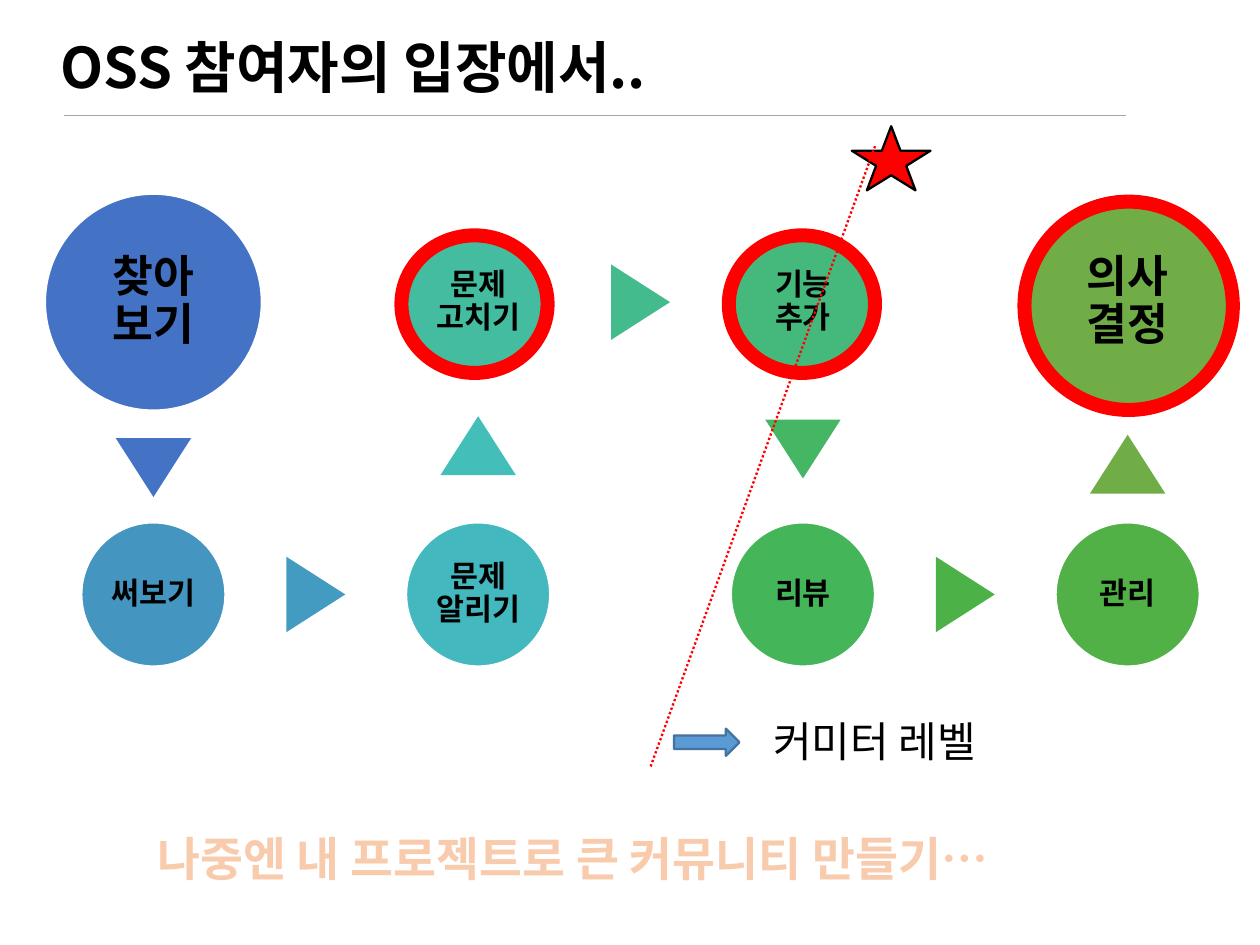
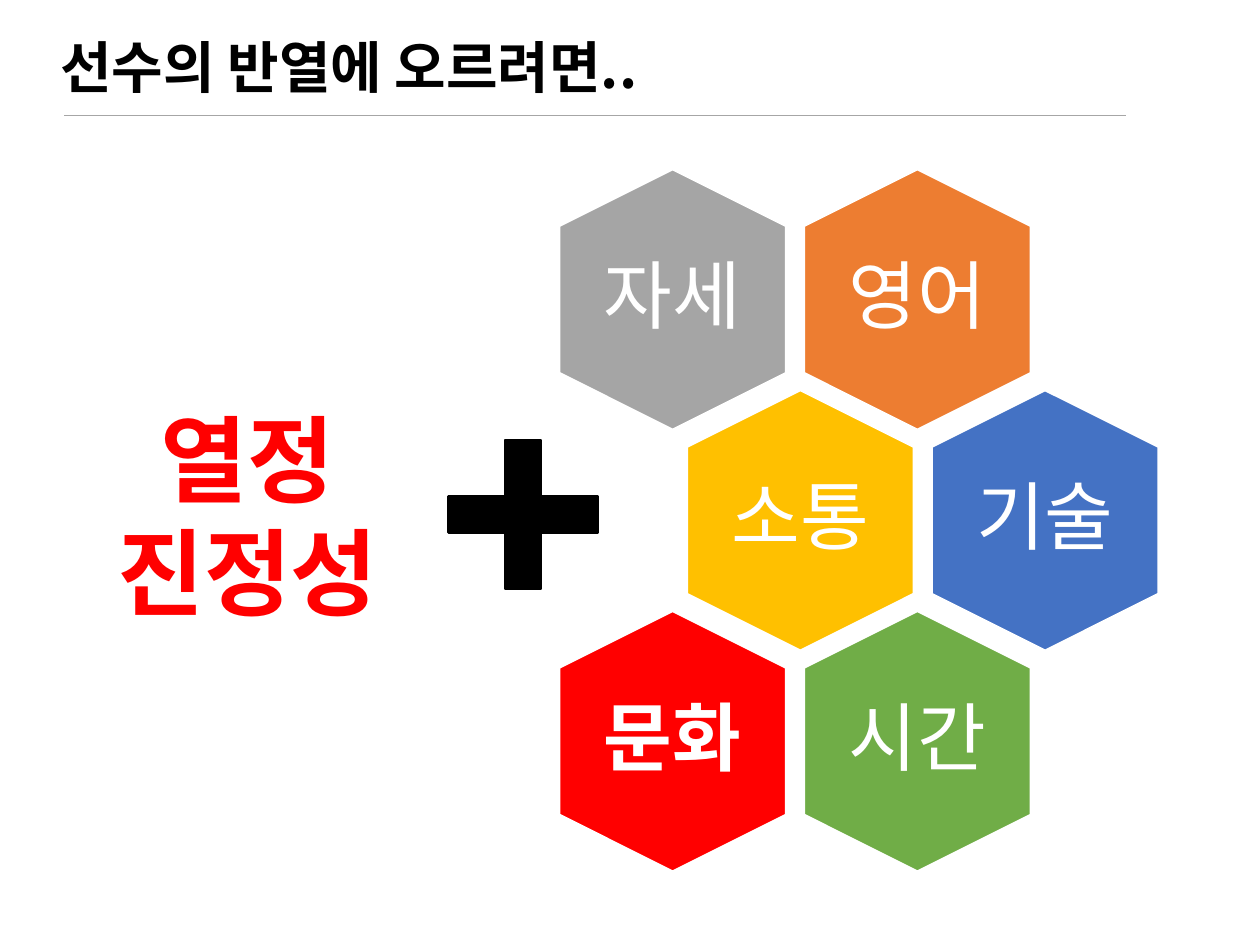
"""Build two slides on taking part in open source projects."""
from lxml import etree
from pptx import Presentation
from pptx import util as u
from pptx.dml.color import RGBColor
from pptx.enum import dml, shapes, text
from pptx.oxml import ns

FONT = "Noto Sans CJK KR"
BLACK = RGBColor(0x00, 0x00, 0x00)
WHITE = RGBColor(0xFF, 0xFF, 0xFF)
RED = RGBColor(0xFF, 0x00, 0x00)
GREY = RGBColor(0xA5, 0xA5, 0xA5)
RULE_GREY = RGBColor(0xA6, 0xA6, 0xA6)
ORANGE = RGBColor(0xED, 0x7D, 0x31)
PEACH = RGBColor(0xF8, 0xCB, 0xAD)
YELLOW = RGBColor(0xFF, 0xC0, 0x00)
BLUE = RGBColor(0x44, 0x72, 0xC4)
LIGHT_BLUE = RGBColor(0x5B, 0x9B, 0xD5)
DARK_BLUE = RGBColor(0x43, 0x73, 0x9E)
GREEN = RGBColor(0x70, 0xAD, 0x47)

SHAPE = shapes.MSO_SHAPE
CENTER = text.PP_ALIGN.CENTER
LEFT = text.PP_ALIGN.LEFT
MIDDLE = text.MSO_ANCHOR.MIDDLE

FLOW_LEFT, FLOW_STEP = 2.32, 4.91
FLOW_ROWS = (4.57, 8.99)
LARGE, SMALL = (3.28, 19), (2.18, 13)
DOWN, RIGHT, UP = 180, 90, 0

STEPS = (
    (0, 0, LARGE, "찾아\n보기", BLUE),
    (0, 1, SMALL, "써보기", RGBColor(0x44, 0x96, 0xC1)),
    (1, 1, SMALL, "문제\n알리기", RGBColor(0x43, 0xB8, 0xBF)),
    (1, 0, SMALL, "문제\n고치기", RGBColor(0x43, 0xBC, 0xA0)),
    (2, 0, SMALL, "기능\n추가", RGBColor(0x44, 0xB9, 0x7B)),
    (2, 1, SMALL, "리뷰", RGBColor(0x45, 0xB5, 0x59)),
    (3, 1, SMALL, "관리", RGBColor(0x52, 0xB1, 0x46)),
    (3, 0, LARGE, "의사\n결정", GREEN),
)
ARROWS = (
    (0, 7.07, DOWN, BLUE),
    (0.5, FLOW_ROWS[1], RIGHT, RGBColor(0x44, 0x9B, 0xC1)),
    (1, 6.74, UP, RGBColor(0x43, 0xBE, 0xB9)),
    (1.5, FLOW_ROWS[0], RIGHT, RGBColor(0x43, 0xBB, 0x8D)),
    (2, 6.79, DOWN, RGBColor(0x45, 0xB6, 0x64)),
    (2.5, FLOW_ROWS[1], RIGHT, RGBColor(0x4C, 0xB1, 0x46)),
    (3, 7.02, UP, GREEN),
)
RINGS = (
    (15.49, 3.05, 3.15, 3.15),
    (11.02, 3.56, 2.21, 2.08),
    (6.07, 3.56, 2.21, 2.08),
)
QUALITIES = (
    (0, 0, "자세", GREY, False),
    (1, 0, "영어", ORANGE, False),
    (0, 1, "소통", YELLOW, False),
    (1, 1, "기술", BLUE, False),
    (0, 2, "문화", RED, True),
    (1, 2, "시간", GREEN, False),
)


def around(x, y, width, height):
    """Return the box of the given size centred on a point."""
    return x - width / 2, y - height / 2, width, height


def add_run(paragraph, words, size, color, bold=False):
    """Add one run in the deck's font for Latin and Korean letters."""
    run = paragraph.add_run()
    run.text = words
    run.font.size = u.Pt(size)
    run.font.bold = bold
    run.font.color.rgb = color
    run.font.name = FONT
    latin = run.font._element.find(ns.qn("a:latin"))
    east_asian = etree.Element(ns.qn("a:ea"), typeface=FONT)
    latin.addnext(east_asian)
    return run


def outline_run(run, color, width):
    """Give the letters of a run an outline."""
    line = etree.Element(ns.qn("a:ln"), w=str(u.Pt(width)))
    fill = etree.SubElement(line, ns.qn("a:solidFill"))
    etree.SubElement(fill, ns.qn("a:srgbClr"), val=str(color))
    run.font._element.insert(0, line)


def set_margins(frame, margin):
    """Set all four insets of a text frame."""
    frame.margin_left = frame.margin_right = u.Cm(margin)
    frame.margin_top = frame.margin_bottom = u.Cm(margin)


def write_label(frame, words, size, color, bold, margin):
    """Write a centred label with tight line spacing."""
    frame.word_wrap = True
    frame.vertical_anchor = MIDDLE
    set_margins(frame, margin)
    paragraph = frame.paragraphs[0]
    paragraph.alignment = CENTER
    paragraph.line_spacing = 0.9
    for number, line in enumerate(words.split("\n")):
        if number:
            paragraph.add_line_break()
        add_run(paragraph, line, size, color, bold)


def add_text_box(slide, box):
    """Add a wrapping text box and return its frame."""
    frame = slide.shapes.add_textbox(*map(u.Cm, box)).text_frame
    frame.word_wrap = True
    return frame


def add_figure(slide, kind, box, fill=None, line=None, width=1, rotation=0):
    """Add a flat preset shape."""
    shape = slide.shapes.add_shape(kind, *map(u.Cm, box))
    shape.shadow.inherit = False
    shape.rotation = rotation
    if fill is None:
        shape.fill.background()
    else:
        shape.fill.solid()
        shape.fill.fore_color.rgb = fill
    if line is None:
        shape.line.fill.background()
    else:
        shape.line.color.rgb = line
        shape.line.width = u.Pt(width)
    return shape


def add_line(slide, ends, color, width, dash=None):
    """Add a straight line without a shadow."""
    line = slide.shapes.add_connector(
        shapes.MSO_CONNECTOR.STRAIGHT, *map(u.Cm, ends))
    line.line.color.rgb = color
    line.line.width = u.Pt(width)
    if dash is not None:
        line.line.dash_style = dash
    etree.SubElement(line._element.spPr, ns.qn("a:effectLst"))
    return line


def prepare_layout(layout):
    """Keep only the title on the layout and put it in its place."""
    for placeholder in list(layout.placeholders):
        if placeholder.placeholder_format.type != shapes.PP_PLACEHOLDER.TITLE:
            placeholder.element.getparent().remove(placeholder.element)
            continue
        placeholder.left, placeholder.top = u.Cm(0.91), u.Cm(0.58)
        placeholder.width, placeholder.height = u.Cm(18.14), u.Cm(0.97)


def add_layout_rule(slide):
    """Draw the rule under the title on the layout of a slide."""
    rule = add_line(slide, (0.97, 1.75, 17.02, 1.75), RULE_GREY, 0.5)
    slide.slide_layout.shapes.element.append(rule.element)


def add_titled_slide(presentation, layout, words):
    """Add a slide and write its title."""
    slide = presentation.slides.add_slide(layout)
    frame = slide.shapes.title.text_frame
    frame.auto_size = text.MSO_AUTO_SIZE.NONE
    frame.vertical_anchor = MIDDLE
    set_margins(frame, 0)
    paragraph = frame.paragraphs[0]
    paragraph.alignment = LEFT
    paragraph.line_spacing = 0.9
    add_run(paragraph, words, 24, BLACK, True)
    return slide


def add_step(slide, column, row, scale, words, color):
    """Add one circle of the flow."""
    diameter, size = scale
    x = FLOW_LEFT + column * FLOW_STEP
    box = around(x, FLOW_ROWS[row], diameter, diameter)
    circle = add_figure(slide, SHAPE.OVAL, box, color, WHITE)
    write_label(circle.text_frame, words, size, BLACK, True, 0.05)


def add_arrow(slide, column, y, rotation, color):
    """Add one triangle that points to the next step."""
    box = around(FLOW_LEFT + column * FLOW_STEP, y, 1.14, 0.89)
    add_figure(slide, SHAPE.ISOSCELES_TRIANGLE, box, color, rotation=rotation)


def add_quality(slide, column, row, words, color, bold):
    """Add one honeycomb cell with an upright label."""
    x = 10.17 + column * 3.7 + row % 2 * 1.93
    y = 4.53 + row * 3.34
    cell = add_figure(slide, SHAPE.HEXAGON, around(x, y, 3.94, 3.43),
                      color, WHITE, rotation=90)
    cell.adjustments[0] = 0.25
    frame = add_text_box(slide, around(x, y, 2.36, 2.72))
    write_label(frame, words, 32, WHITE, bold, 0)


def add_committer_marks(slide):
    """Add the rings, star and dotted border of the committer level."""
    for box in RINGS:
        add_figure(slide, SHAPE.OVAL, box, line=RED, width=6)
    add_figure(slide, SHAPE.STAR_5_POINT, (12.88, 1.91, 1.19, 0.97), RED, BLACK)
    add_line(slide, (13.23, 2.21, 9.83, 11.61), RED, 1,
             dml.MSO_LINE.ROUND_DOT)
    add_figure(slide, SHAPE.RIGHT_ARROW, (10.19, 11.02, 0.99, 0.41),
               LIGHT_BLUE, DARK_BLUE)
    label = add_text_box(slide, (11.44, 10.69, 4.17, 1.02))
    add_run(label.paragraphs[0], "커미터 레벨", 18, BLACK)


def fill_journey(slide):
    """Draw the path of a participant."""
    for step in STEPS:
        add_step(slide, *step)
    for arrow in ARROWS:
        add_arrow(slide, *arrow)
    goal = add_text_box(slide, (2.13, 12.42, 15.95, 1.12))
    run = add_run(goal.paragraphs[0],
                  "나중엔 내 프로젝트로 큰 커뮤니티 만들기…", 20, PEACH, True)
    outline_run(run, ORANGE, 1.75)
    add_committer_marks(slide)


def fill_qualities(slide):
    """Draw the qualities of a strong player."""
    for quality in QUALITIES:
        add_quality(slide, *quality)
    frame = add_text_box(slide, (1.32, 5.94, 4.85, 3.71))
    for paragraph, words in ((frame.paragraphs[0], "열정"),
                             (frame.add_paragraph(), "진정성")):
        paragraph.alignment = CENTER
        add_run(paragraph, words, 40.5, RED, True)
    plus = add_figure(slide, SHAPE.CROSS, (6.78, 6.65, 2.26, 2.26), BLACK, BLACK)
    plus.adjustments[0] = 0.38


def main():
    """Build and save the presentation."""
    presentation = Presentation()
    presentation.slide_width = u.Cm(19.05)
    presentation.slide_height = u.Cm(14.29)
    layout = presentation.slide_layouts.get_by_name("Title Only")
    prepare_layout(layout)
    journey = add_titled_slide(presentation, layout, "OSS 참여자의 입장에서..")
    add_layout_rule(journey)
    fill_journey(journey)
    fill_qualities(
        add_titled_slide(presentation, layout, "선수의 반열에 오르려면.."))
    presentation.save("out.pptx")


if __name__ == "__main__":
    main()
